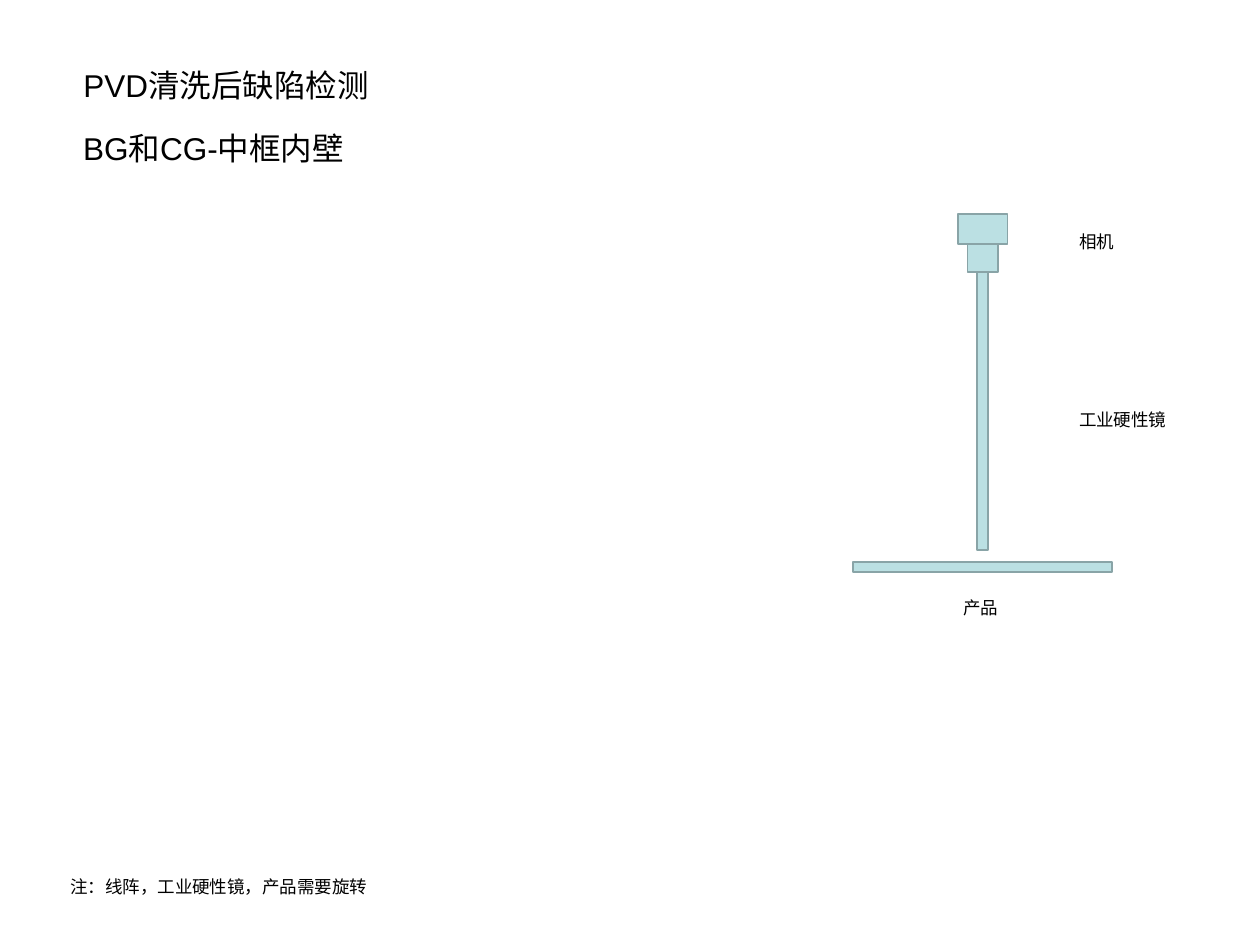
from pptx import Presentation
from pptx.dml.color import RGBColor
from pptx.enum.shapes import MSO_SHAPE as Shape
from pptx.enum.text import MSO_ANCHOR as Anchor, MSO_AUTO_SIZE as AutoSize, PP_ALIGN as Align
from pptx.util import Pt


def color(value):
    return RGBColor.from_string(value)


class SlideBuilder:
    font = "Arial"
    ink, fill, outline = "000000", "BBE0E3", "89A4A7"
    heading_size, label_size = 18, 10

    def __init__(self, page):
        self.page = page

    def set_text(self, box, text, size, wrap=True):
        frame = box.text_frame
        frame.word_wrap = wrap
        frame.auto_size = AutoSize.SHAPE_TO_FIT_TEXT
        frame.vertical_anchor = Anchor.TOP
        frame.margin_left = frame.margin_right = Pt(7.2)
        frame.margin_top = frame.margin_bottom = Pt(3.6)
        para = frame.paragraphs[0]
        para.alignment = Align.LEFT
        para.line_spacing = 1.0
        para.space_before = Pt(0)
        span = para.add_run()
        span.text = text
        span.font.name = self.font
        span.font.size = Pt(size)
        span.font.color.rgb = color(self.ink)

    def title(self, text, left, top, width, height):
        box = self.page.shapes.title
        box.left, box.top, box.width, box.height = map(Pt, (left, top, width, height))
        self.set_text(box, text, self.heading_size)

    def text(self, text, left, top, width, height, size=label_size, wrap=True):
        box = self.page.shapes.add_textbox(*map(Pt, (left, top, width, height)))
        self.set_text(box, text, size, wrap)

    def block(self, center, top, width, height, parent=None):
        shapes = (parent or self.page).shapes
        left = center - width / 2
        box = shapes.add_shape(Shape.RECTANGLE, *map(Pt, (left, top, width, height)))
        box.shadow.inherit = False
        box.fill.solid()
        box.fill.fore_color.rgb = color(self.fill)
        box.line.color.rgb = color(self.outline)
        box.line.width = Pt(1)


def main():
    deck = Presentation()
    deck.slide_width, deck.slide_height = Pt(720), Pt(540)
    title_only = deck.slide_layouts[5]
    builder = SlideBuilder(deck.slides.add_slide(title_only))

    # Headings and footnote
    builder.title("PVD清洗后缺陷检测", 40.4, 34, 437, 29)
    builder.text("BG和CG-中框内壁", 40.4, 70.2, 182, 29, builder.heading_size)
    builder.text("注：线阵，工业硬性镜，产品需要旋转", 33.2, 497.3, 184, 19.4, wrap=False)

    # Camera body and lens, with the rigid scope below and the product under it
    axis = 561.5
    camera = builder.page.shapes.add_group_shape()
    builder.block(axis, 122.5, 28.4, 17, camera)
    builder.block(axis, 139.5, 17.4, 16, camera)
    builder.block(axis, 321.1, 147.8, 6)
    builder.block(axis, 155.5, 6, 158.7)

    # Part labels
    builder.text("相机", 609.6, 128.4, 36, 19.4)
    builder.text("工业硬性镜", 609.6, 230.2, 69, 19.4)
    builder.text("产品", 543.4, 337.9, 36, 19.4)

    deck.save("out.pptx")


if __name__ == "__main__":
    main()
